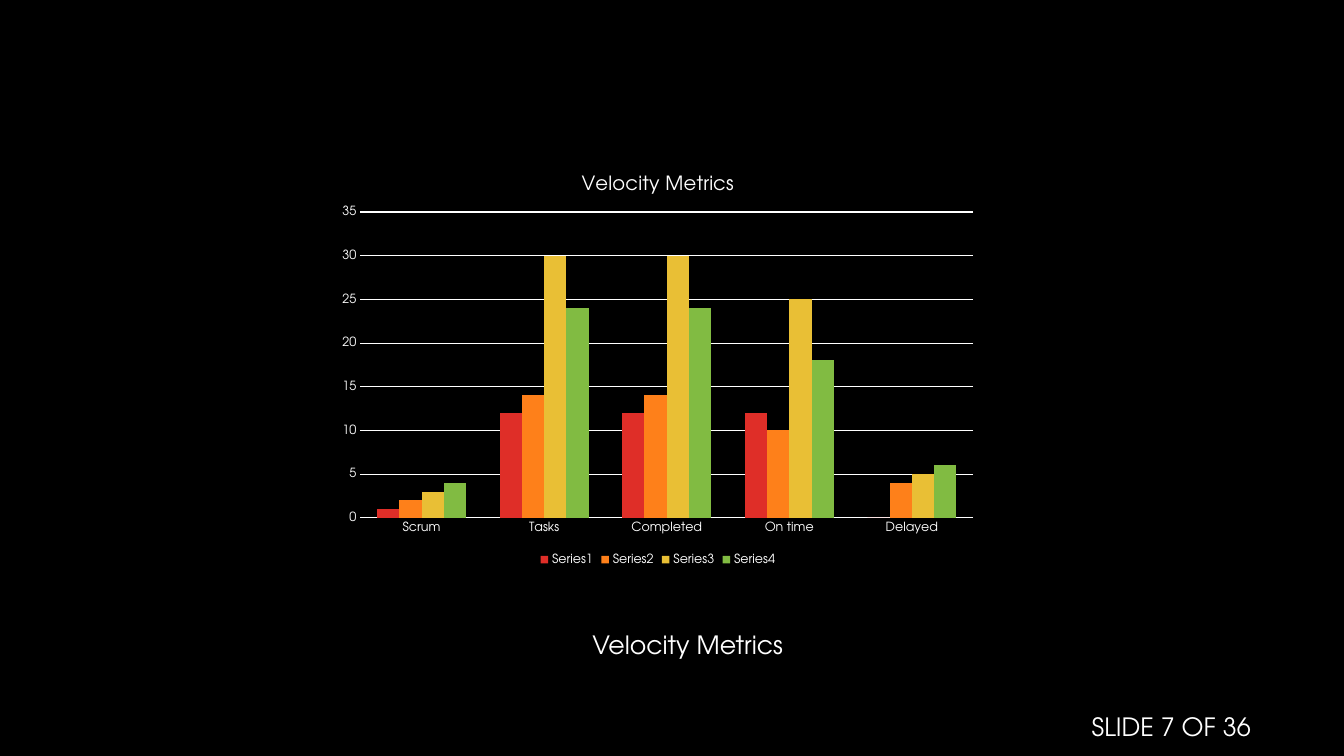
from lxml.etree import SubElement
from pptx import Presentation
from pptx.chart.data import CategoryChartData
from pptx.dml.color import RGBColor
from pptx.enum.chart import XL_CHART_TYPE as CT, XL_LEGEND_POSITION as LP, XL_TICK_MARK as TM
from pptx.enum.text import PP_ALIGN as AL, MSO_AUTO_SIZE as AUTO
from pptx.oxml.ns import qn
from pptx.util import Inches, Pt

FONT, WHITE, BLACK = "TeX Gyre Adventor", "FFFFFF", "000000"
W, H = 13.33, 7.5
TITLE = "Velocity Metrics"
CATS = ["Scrum", "Tasks", "Completed", "On time", "Delayed"]
SERIES = [
    ("Series1", (1, 12, 12, 12, 0), "DF2E28"),
    ("Series2", (2, 14, 14, 10, 4), "FE801A"),
    ("Series3", (3, 30, 30, 25, 5), "E9BF35"),
    ("Series4", (4, 24, 24, 18, 6), "81BB42"),
]
CHART_BOX = (3.26, 1.55, 6.53, 4.1)
PLOT = {"x": 0.048, "y": 0.135, "w": 0.931, "h": 0.74}
LABELS = [
    (TITLE, (5.3, 6.19, 3.04, 0.4), AL.CENTER),
    ("SLIDE 7 OF 36", (10.73, 7.01, 2.04, 0.4), AL.LEFT),
]


def rgb(c):
    return RGBColor.from_string(c)


def style(font, size):
    for k, v in {"name": FONT, "size": Pt(size), "bold": False}.items():
        setattr(font, k, v)
    font.color.rgb = rgb(WHITE)


def paint(fill, c):
    fill.solid()
    fill.fore_color.rgb = rgb(c)


def add_label(s, text, box, align):
    tf = s.shapes.add_textbox(*map(Inches, box)).text_frame
    tf.word_wrap = True
    tf.auto_size = AUTO.SHAPE_TO_FIT_TEXT
    p = tf.paragraphs[0]
    p.alignment = align
    r = p.add_run()
    r.text = text
    style(r.font, 18)


def place_plot(chart):
    area = chart._chartSpace.chart.plotArea
    for old in area.findall(qn("c:layout")):
        area.remove(old)
    layout = SubElement(area, qn("c:layout"))
    area.insert(0, layout)
    manual = SubElement(layout, qn("c:manualLayout"))
    tags = {"layoutTarget": "inner", "xMode": "edge", "yMode": "edge", **PLOT}
    for tag, val in tags.items():
        SubElement(manual, qn("c:" + tag)).set("val", str(val))


def add_velocity_chart(s):
    data = CategoryChartData()
    data.categories = CATS
    for name, vals, _ in SERIES:
        data.add_series(name, vals)
    chart = s.shapes.add_chart(CT.COLUMN_CLUSTERED, *map(Inches, CHART_BOX), data).chart
    style(chart.font, 10)
    chart.has_title = True
    chart.chart_title.include_in_layout = False
    tf = chart.chart_title.text_frame
    tf.text = TITLE
    style(tf.paragraphs[0].runs[0].font, 14)
    chart.has_legend = True
    chart.legend.position = LP.BOTTOM
    chart.legend.include_in_layout = False
    style(chart.legend.font, 9)
    for axis in (chart.category_axis, chart.value_axis):
        axis.major_tick_mark = axis.minor_tick_mark = TM.NONE
        axis.format.line.fill.background()
        style(axis.tick_labels.font, 9)
    for k, v in {"minimum_scale": 0, "maximum_scale": 35, "major_unit": 5,
                 "has_major_gridlines": True}.items():
        setattr(chart.value_axis, k, v)
    grid = chart.value_axis.major_gridlines.format.line
    grid.width = Pt(0.75)
    paint(grid.fill, WHITE)
    plot = chart.plots[0]
    for k, v in {"gap_width": 150, "overlap": 0, "vary_by_categories": False}.items():
        setattr(plot, k, v)
    for ser, (_, _, c) in zip(plot.series, SERIES):
        paint(ser.format.fill, c)
    place_plot(chart)


def main():
    prs = Presentation()
    prs.slide_width, prs.slide_height = Inches(W), Inches(H)
    s = prs.slides.add_slide(prs.slide_layouts[6])
    paint(s.background.fill, BLACK)
    add_velocity_chart(s)
    for label in LABELS:
        add_label(s, *label)
    prs.save("out.pptx")


if __name__ == "__main__":
    main()
